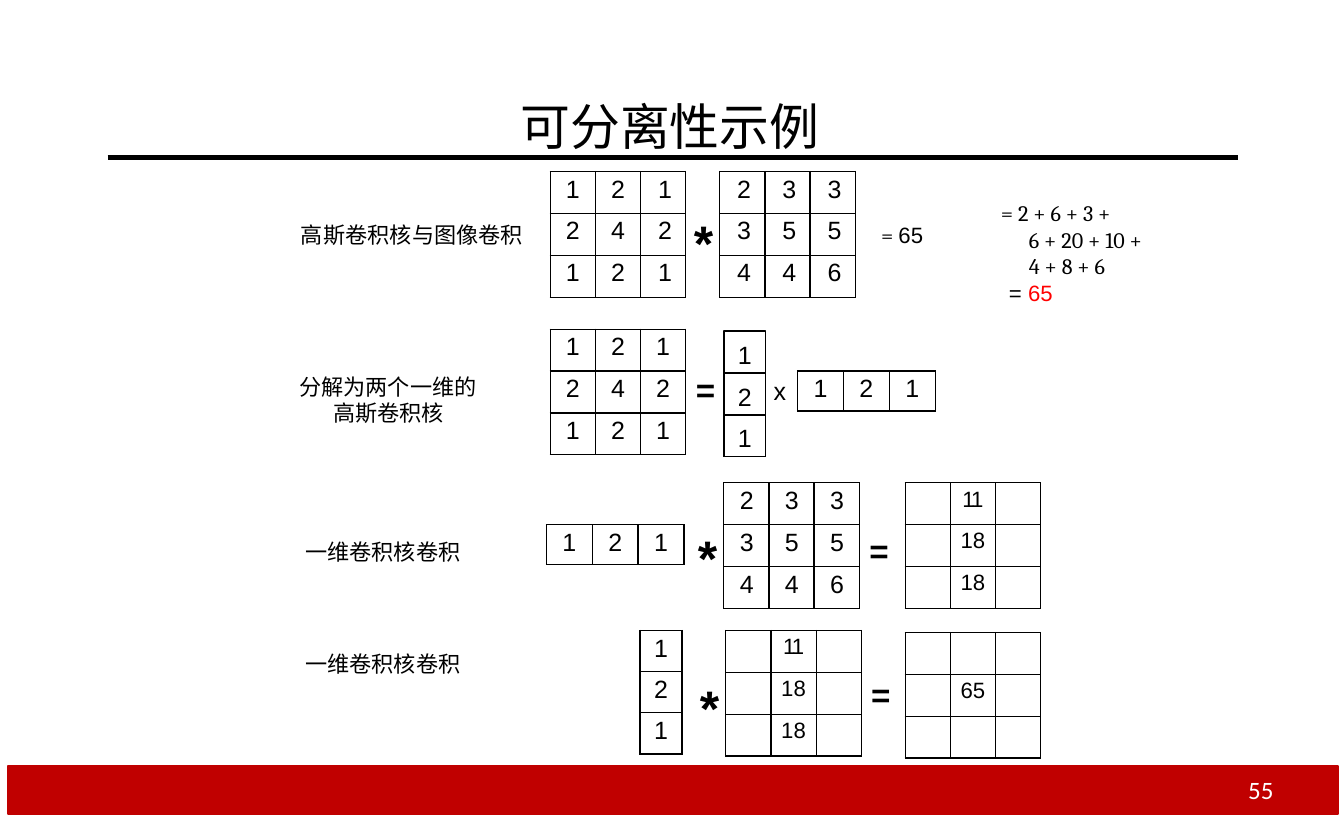
from dataclasses import dataclass

from lxml.etree import SubElement as Sub
from pptx import Presentation
from pptx.dml.color import RGBColor as RGB
from pptx.enum.shapes import MSO_CONNECTOR as LINE, MSO_SHAPE as SHAPE
from pptx.enum.text import MSO_ANCHOR as ANCHOR, PP_ALIGN as ALIGN
from pptx.oxml.ns import qn
from pptx.util import Inches, Pt


@dataclass(frozen=True)
class Theme:
    black: RGB = RGB(0, 0, 0)
    white: RGB = RGB(255, 255, 255)
    bar: RGB = RGB(0xC0, 0, 0)
    red: RGB = RGB(255, 0, 0)
    title: int = 18
    sign: int = 12
    digit: int = 9
    note: int = 8
    thin: float = 0.5
    rule: float = 1.5
    sans: str = "Arial"
    serif: str = "Cambria"
    page: str = "Calibri"
    han: str = "Noto Sans CJK SC"


T = Theme()
KERNEL = [[1, 2, 1], [2, 4, 2], [1, 2, 1]]
IMAGE = [[2, 3, 3], [3, 5, 5], [4, 4, 6]]
FLAT = [[1, 2, 1]]
TALL = [[1], [2], [1]]
SUMS = [["", 11, ""], ["", 18, ""], ["", 18, ""]]
FINAL = [["", "", ""], ["", 65, ""], ["", "", ""]]


def add_run(par, text, size, font=T.sans, color=T.black, bold=False):
    run = par.add_run()
    run.text = str(text)
    run.font.size = Pt(size)
    run.font.bold = bold
    run.font.name = font
    run.font.color.rgb = color
    if font == T.han:
        Sub(run.font._element, qn("a:ea"), typeface=font)
    if text == 11:
        run.font._element.set("spc", "-70")


def set_frame(frame, top):
    frame.word_wrap = True
    frame.vertical_anchor = ANCHOR.TOP
    frame.margin_left = frame.margin_right = frame.margin_bottom = 0
    frame.margin_top = Inches(top)


def indent(par, left, first=0.0):
    props = par._p.get_or_add_pPr()
    props.set("marL", str(Inches(left)))
    props.set("indent", str(Inches(first)))


def add_text(slide, box, lines):
    frame = slide.shapes.add_textbox(*map(Inches, box)).text_frame
    set_frame(frame, 0.02)
    for i, (left, first, runs) in enumerate(lines):
        par = frame.add_paragraph() if i else frame.paragraphs[0]
        indent(par, left, first)
        for run in runs:
            add_run(par, *run)


def add_note(slide, box, *runs):
    add_text(slide, box, [(0.01, 0, runs)])


def add_line(slide, start, end, width):
    line = slide.shapes.add_connector(LINE.STRAIGHT, *map(Inches, start + end))
    line.line.color.rgb = T.black
    line.line.width = Pt(width)
    Sub(line._element.spPr, qn("a:effectLst"))


def add_rect(slide, box, color, width, fill=None):
    rect = slide.shapes.add_shape(SHAPE.RECTANGLE, *map(Inches, box))
    rect.shadow.inherit = False
    if fill is None:
        rect.fill.background()
    else:
        rect.fill.solid()
        rect.fill.fore_color.rgb = fill
    rect.line.color.rgb = color
    rect.line.width = Pt(width)
    return rect


def set_edge(cell):
    props = cell._tc.get_or_add_tcPr()
    for i, side in enumerate(("lnL", "lnR", "lnT", "lnB")):
        edge = props.makeelement(qn(f"a:{side}"), {"w": str(Pt(T.thin))})
        fill = Sub(edge, qn("a:solidFill"))
        Sub(fill, qn("a:srgbClr"), val=str(T.black))
        props.insert(i, edge)


def add_grid(slide, box, rows, size=T.digit, sides="ccc"):
    x, y, wide, high = box
    table = slide.shapes.add_table(len(rows), len(rows[0]), *map(Inches, box)).table
    table.first_row = table.horz_banding = False
    for col in table.columns:
        col.width = Inches(wide / len(rows[0]))
    for row in table.rows:
        row.height = Inches(high / len(rows))
    for r, row in enumerate(rows):
        for c, value in enumerate(row):
            cell = table.cell(r, c)
            cell.fill.background()
            set_edge(cell)
            cell.margin_left = Inches(0.08 if sides[c] == "l" else 0)
            cell.margin_right = Inches(0.07 if sides[c] == "r" else 0)
            cell.margin_top, cell.margin_bottom = Inches(0.02), 0
            par = cell.text_frame.paragraphs[0]
            par.alignment = {"c": ALIGN.CENTER, "r": ALIGN.RIGHT, "l": ALIGN.LEFT}[sides[c]]
            if value == "":
                Sub(par._p, qn("a:endParaRPr"), sz=str(size * 100))
            else:
                add_run(par, value, size)


def add_stack(slide, x, y, side):
    for edge in (x, x + side):
        add_line(slide, (edge, y), (edge, y + 3 * side), T.thin)
    for i, (value,) in enumerate(TALL):
        rect = add_rect(slide, (x, y + i * side, side, side), T.black, T.thin)
        set_frame(rect.text_frame, 0.04)
        par = rect.text_frame.paragraphs[0]
        par.alignment = ALIGN.CENTER
        add_run(par, value, T.digit)


def set_title(slide):
    title = slide.shapes.title
    title.left, title.top, title.width, title.height = map(Inches, (2.6, 0.46, 1.54, 0.33))
    set_frame(title.text_frame, 0.02)
    par = title.text_frame.paragraphs[0]
    par.alignment = ALIGN.LEFT
    indent(par, 0.01)
    add_run(par, "可分离性示例", T.title, T.han)


def add_labels(slide):
    for box, text in [
        ((1.5, 1.09, 1.14, 0.16), "高斯卷积核与图像卷积"),
        ((1.52, 2.68, 0.81, 0.16), "一维卷积核卷积"),
        ((1.52, 3.24, 0.81, 0.16), "一维卷积核卷积"),
    ]:
        add_note(slide, box, (text, T.note, T.han))
    add_text(slide, (1.49, 1.85, 0.92, 0.3),
             [(0.18, -0.17, [("分解为两个一维的 高斯卷积核", T.note, T.han)])])
    add_note(slide, (4.41, 1.09, 0.3, 0.16), ("= ", T.note, T.serif), ("65", T.note))
    add_text(slide, (5.01, 0.98, 0.84, 0.56), [
        (0.01, 0, [("= 2 + 6 + 3 +", T.note, T.serif)]),
        (0.15, 0, [("6 + 20 + 10 +", T.note, T.serif)]),
        (0.15, 0, [("4 + 8 + 6", T.note, T.serif)]),
        (0.05, 0, [("= ", T.note), ("65", T.note, T.sans, T.red)]),
    ])


def add_signs(slide):
    for x, y in [(3.47, 1.04), (3.49, 2.62), (3.5, 3.37)]:
        add_note(slide, (x, y, 0.13, 0.33), ("*", T.title, T.sans, T.black, True))
    for x, y in [(3.48, 1.83), (4.35, 2.64), (4.36, 3.36)]:
        add_note(slide, (x, y, 0.13, 0.23), ("=", T.sign, T.sans, T.black, True))
    add_note(slide, (3.87, 1.86, 0.09, 0.18), ("x", T.digit))


def add_grids(slide):
    for x, y, rows, size, sides in [
        (2.76, 0.86, KERNEL, T.digit, "ccr"),
        (3.61, 0.86, IMAGE, T.digit, "rrr"),
        (2.76, 1.65, KERNEL, T.digit, "ccc"),
        (3.63, 2.42, IMAGE, T.digit, "lll"),
        (4.54, 2.42, SUMS, T.note, "ccc"),
        (3.64, 3.16, SUMS, T.note, "ccc"),
        (4.54, 3.17, FINAL, T.note, "ccc"),
    ]:
        add_grid(slide, (x, y, 0.68, 0.63), rows, size, sides)
    for x, y in [(4, 1.86), (2.74, 2.63)]:
        add_grid(slide, (x, y, 0.69, 0.2), FLAT)
    add_grid(slide, (3.21, 3.16, 0.21, 0.62), TALL)
    add_stack(slide, 3.63, 1.66, 0.21)


def main():
    deck = Presentation()
    deck.slide_width, deck.slide_height = Inches(6.74), Inches(4.11)
    slide = deck.slides.add_slide(deck.slide_layouts[5])
    add_line(slide, (0.54, 0.79), (6.21, 0.79), T.rule)
    add_rect(slide, (0.04, 3.84, 6.67, 0.24), T.bar, 1, T.bar)
    add_note(slide, (6.25, 3.86, 0.15, 0.18), ("55", T.digit, T.page, T.white))
    set_title(slide)
    add_labels(slide)
    add_grids(slide)
    add_signs(slide)
    deck.save("out.pptx")


if __name__ == "__main__":
    main()
